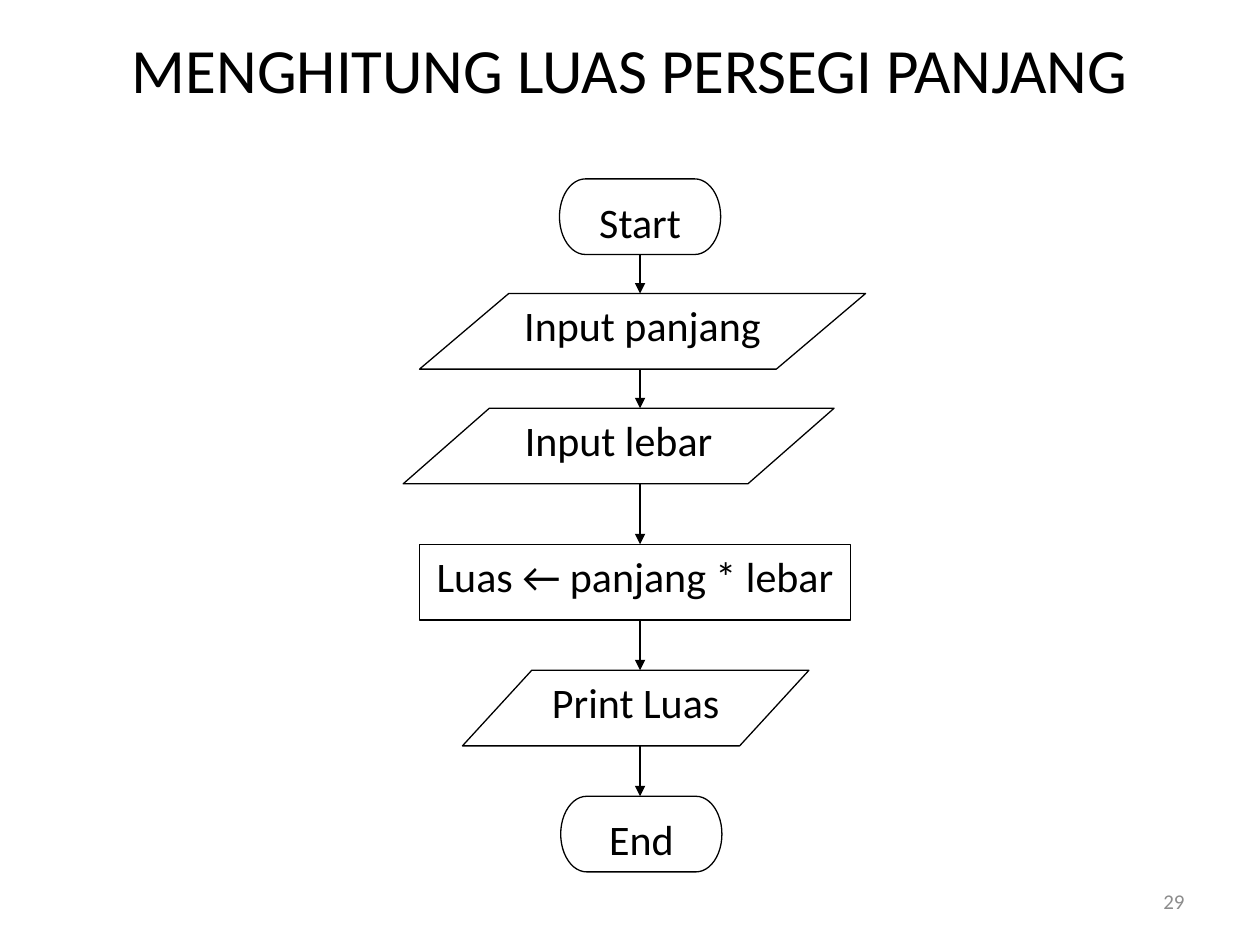
from dataclasses import dataclass
from itertools import pairwise

from lxml import etree
from pptx import Presentation
from pptx.dml.color import RGBColor
from pptx.enum.shapes import MSO_CONNECTOR, MSO_SHAPE
from pptx.enum.text import MSO_ANCHOR, PP_ALIGN
from pptx.oxml.ns import qn
from pptx.util import Inches, Pt

TERMINATOR = MSO_SHAPE.FLOWCHART_TERMINATOR
DATA = MSO_SHAPE.FLOWCHART_DATA
PROCESS = MSO_SHAPE.FLOWCHART_PROCESS
STRAIGHT = MSO_CONNECTOR.STRAIGHT
TOP, MIDDLE = MSO_ANCHOR.TOP, MSO_ANCHOR.MIDDLE
CENTER, RIGHT = PP_ALIGN.CENTER, PP_ALIGN.RIGHT
TITLE_ONLY = 5


@dataclass(frozen=True)
class Theme:
    font: str = "Calibri"
    ink: RGBColor = RGBColor(0, 0, 0)
    paper: RGBColor = RGBColor(255, 255, 255)
    muted: RGBColor = RGBColor(0x8C, 0x8C, 0x8C)
    title_size: int = 36
    step_size: int = 24
    number_size: int = 12
    line_width: float = 0.75


THEME = Theme()
STEP_HEIGHT = 0.6
FLOW_X = 5.08

STEPS = [
    ("Start", TERMINATOR, 4.44, 1.42, 1.28, True),
    ("Input panjang", DATA, 3.33, 2.33, 3.54, True),
    ("Input lebar", DATA, 3.2, 3.24, 3.42, False),
    ("Luas ← panjang * lebar", PROCESS, 3.33, 4.32, 3.42, False),
    ("Print Luas", DATA, 3.67, 5.32, 2.75, True),
    ("End", TERMINATOR, 4.45, 6.32, 1.28, True),
]


def apply_format(target, values):
    for name, value in values.items():
        setattr(target, name, value)


def write_text(holder, text, size, color, align=CENTER, anchor=MIDDLE):
    frame = holder.text_frame
    apply_format(frame, {"word_wrap": True, "vertical_anchor": anchor})
    paragraph = frame.paragraphs[0]
    paragraph.alignment = align
    run = paragraph.add_run()
    run.text = text
    apply_format(run.font, {"name": THEME.font, "size": Pt(size), "bold": False})
    run.font.color.rgb = color


def style_line(line):
    line.color.rgb = THEME.ink
    line.width = Pt(THEME.line_width)


def add_title(slide, text):
    title = slide.shapes.title
    apply_format(title, {"left": Inches(0.75), "top": Inches(0.17),
                         "width": Inches(8.5), "height": Inches(0.75)})
    write_text(title, text, THEME.title_size, THEME.ink)


def add_step(slide, text, kind, left, top, width, filled):
    step = slide.shapes.add_shape(kind, Inches(left), Inches(top),
                                  Inches(width), Inches(STEP_HEIGHT))
    step.shadow.inherit = False
    if filled:
        step.fill.solid()
        step.fill.fore_color.rgb = THEME.paper
    else:
        step.fill.background()
    style_line(step.line)
    write_text(step, text, THEME.step_size, THEME.ink, anchor=TOP)


def add_arrow(slide, start_y, end_y):
    arrow = slide.shapes.add_connector(STRAIGHT, Inches(FLOW_X), Inches(start_y),
                                       Inches(FLOW_X), Inches(end_y))
    style_line(arrow.line)
    properties = arrow._element.spPr
    outline = properties.find(qn("a:ln"))
    etree.SubElement(outline, qn("a:tailEnd"), type="triangle")
    etree.SubElement(properties, qn("a:effectLst"))


def add_page_number(slide, number):
    page_number = slide.shapes.add_textbox(Inches(7.17), Inches(6.95),
                                           Inches(2.33), Inches(0.4))
    write_text(page_number, number, THEME.number_size, THEME.muted, RIGHT)


def main():
    deck = Presentation()
    apply_format(deck, {"slide_width": Inches(10), "slide_height": Inches(7.5)})
    slide = deck.slides.add_slide(deck.slide_layouts[TITLE_ONLY])
    add_title(slide, "MENGHITUNG LUAS PERSEGI PANJANG")
    for step in STEPS:
        add_step(slide, *step)
    tops = [top for _, _, _, top, _, _ in STEPS]
    for top, next_top in pairwise(tops):
        add_arrow(slide, top + STEP_HEIGHT, next_top)
    add_page_number(slide, "29")
    deck.save("out.pptx")


main()
